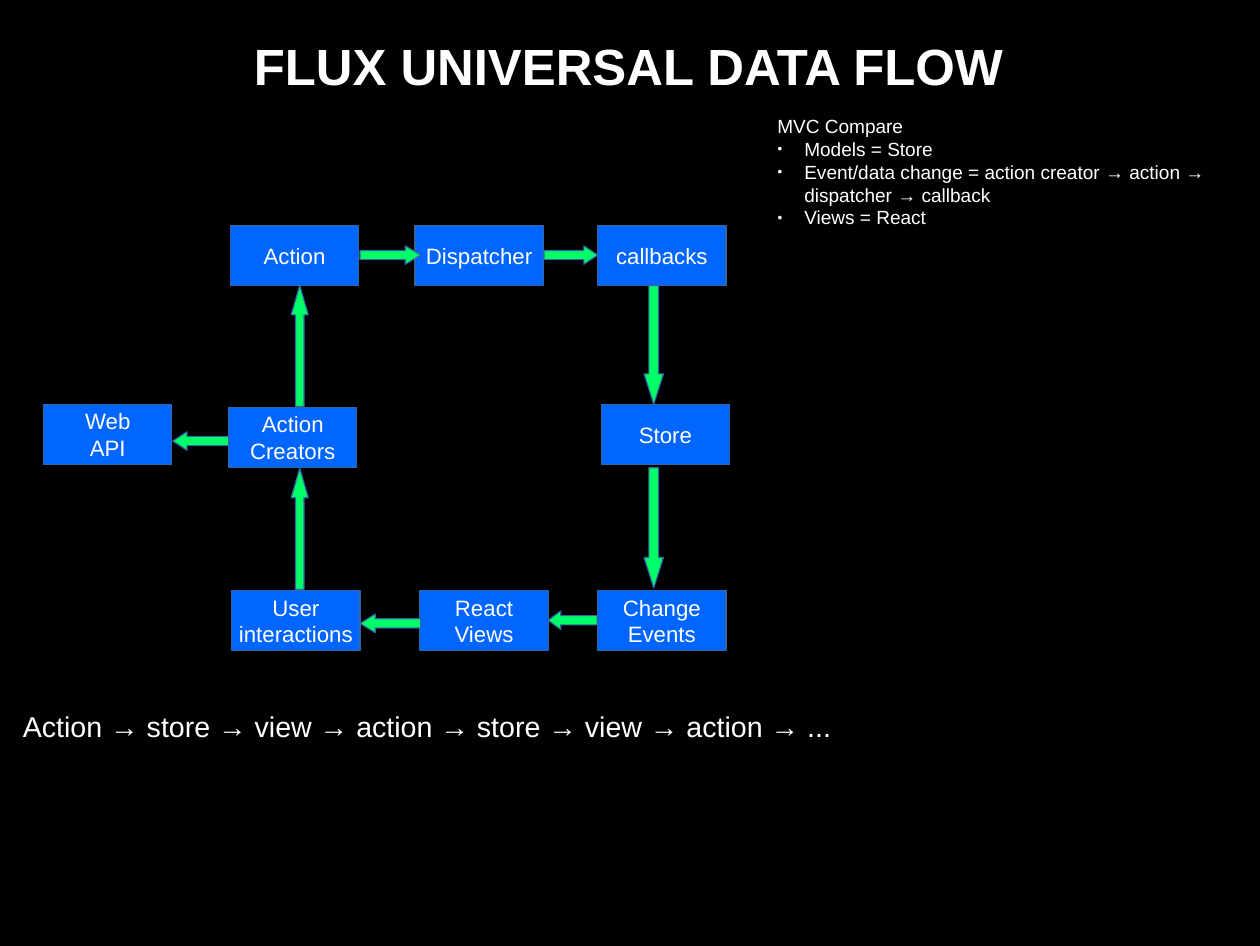
from lxml.etree import SubElement
from pptx import Presentation
from pptx.dml.color import RGBColor
from pptx.enum.shapes import MSO_SHAPE
from pptx.enum.text import MSO_ANCHOR, MSO_AUTO_SIZE, PP_ALIGN
from pptx.oxml.ns import qn
from pptx.util import Cm, Pt

COLORS = {
    "background": "000000",
    "box": "0066FF",
    "arrow": "00FF66",
    "outline": "3465A4",
    "text": "FFFFFF",
}
SLIDE_SIZE = {"slide_width": Pt(793.5), "slide_height": Pt(595.5)}
BOX_WIDTH, BOX_HEIGHT = 2.85, 1.33
TOP_ROW, BOTTOM_ROW = 5.01, 13.12
BULLET_INDENT = Cm(0.6)

BOXES = [  # text, left, top
    ("Action", 5.12, TOP_ROW),
    ("Dispatcher", 9.22, TOP_ROW),
    ("callbacks", 13.28, TOP_ROW),
    ("Store", 13.36, 8.98),
    ("Change\nEvents", 13.28, BOTTOM_ROW),
    ("React\nViews", 9.33, BOTTOM_ROW),
    ("User\ninteractions", 5.15, BOTTOM_ROW),
    ("Action\nCreators", 5.08, 9.05),
    ("Web\nAPI", 0.97, 8.98),
]
ARROWS = [  # direction, left, top, width, height, head length to thickness
    ("LEFT", 8, 13.64, 1.35, 0.41, 0.82),
    ("LEFT", 12.18, 13.57, 1.09, 0.41, 0.68),
    ("UP", 6.47, 10.4, 0.38, 2.69, 1.72),
    ("UP", 6.47, 6.34, 0.38, 2.69, 1.72),
    ("RIGHT", 8, 5.46, 1.35, 0.41, 0.84),
    ("RIGHT", 12.09, 5.46, 1.19, 0.41, 0.75),
    ("DOWN", 14.31, 6.34, 0.43, 2.64, 1.57),
    ("DOWN", 14.31, 10.39, 0.43, 2.67, 1.58),
    ("LEFT", 3.84, 9.59, 1.24, 0.41, 0.77),
]
COMPARISON = [
    "MVC Compare",
    "Models = Store",
    "Event/data change = action creator → action → dispatcher → callback",
    "Views = React",
]
CYCLE = "Action → store → view → action → store → view → action → ..."


def color(name):
    return RGBColor.from_string(COLORS[name])


def set_attributes(target, values):
    for name, value in values.items():
        setattr(target, name, value)


def write_text(shape, paragraphs, size, align=PP_ALIGN.LEFT, bold=False, **frame_format):
    """Fill a shape with paragraphs; a newline inside one is a line break."""
    frame = shape.text_frame
    margins = {f"margin_{side}": 0 for side in ("left", "top", "right", "bottom")}
    set_attributes(frame, {"word_wrap": True, **margins, **frame_format})
    for index, text in enumerate(paragraphs):
        paragraph = frame.add_paragraph() if index else frame.paragraphs[0]
        paragraph.text = text
        paragraph.alignment = align
        for run in paragraph.runs:
            set_attributes(run.font, {"name": "Arial", "size": Pt(size), "bold": bold})
            run.font.color.rgb = color("text")
        for line_break in paragraph._p.findall(qn("a:br")):
            SubElement(line_break, qn("a:rPr"), sz=str(size * 100))
    return frame


def add_filled_shape(slide, kind, fill, left, top, width, height):
    shape = slide.shapes.add_shape(kind, Cm(left), Cm(top), Cm(width), Cm(height))
    shape.shadow.inherit = False
    shape.fill.solid()
    shape.fill.fore_color.rgb = color(fill)
    shape.line.color.rgb = color("outline")
    shape.line.width = 0
    return shape


def add_box(slide, text, left, top):
    box = add_filled_shape(
        slide, MSO_SHAPE.RECTANGLE, "box", left, top, BOX_WIDTH, BOX_HEIGHT
    )
    write_text(box, [text], 14, PP_ALIGN.CENTER, vertical_anchor=MSO_ANCHOR.MIDDLE)


def add_arrow(slide, direction, left, top, width, height, head):
    kind = MSO_SHAPE[f"{direction}_ARROW"]
    arrow = add_filled_shape(slide, kind, "arrow", left, top, width, height)
    arrow.adjustments[0] = 0.5
    arrow.adjustments[1] = head


def add_text(slide, paragraphs, left, top, width, height, size, **text_format):
    box = slide.shapes.add_textbox(Cm(left), Cm(top), Cm(width), Cm(height))
    return write_text(
        box, paragraphs, size, auto_size=MSO_AUTO_SIZE.SHAPE_TO_FIT_TEXT, **text_format
    )


def add_bullet(paragraph):
    properties = paragraph._p.get_or_add_pPr()
    properties.set("marL", str(BULLET_INDENT))
    properties.set("indent", str(-BULLET_INDENT))
    bullet_color = SubElement(properties, qn("a:buClr"))
    SubElement(bullet_color, qn("a:srgbClr"), val=COLORS["text"])
    SubElement(properties, qn("a:buSzPct"), val="45000")
    SubElement(properties, qn("a:buFont"), typeface="Arial")
    SubElement(properties, qn("a:buChar"), char="●")


def main():
    presentation = Presentation()
    set_attributes(presentation, SLIDE_SIZE)
    slide = presentation.slides.add_slide(presentation.slide_layouts[6])
    slide.background.fill.solid()
    slide.background.fill.fore_color.rgb = color("background")

    for box in BOXES:
        add_box(slide, *box)
    for arrow in ARROWS:
        add_arrow(slide, *arrow)

    add_text(slide, ["FLUX UNIVERSAL DATA FLOW"], 2.54, 0.76, 22.86, 1.27, 32,
             align=PP_ALIGN.CENTER, bold=True)
    comparison = add_text(slide, COMPARISON, 17.27, 2.54, 10.72, 2.36, 12)
    for paragraph in comparison.paragraphs[1:]:
        add_bullet(paragraph)
    add_text(slide, [CYCLE], 0.51, 15.75, 18.8, 1.42, 18)

    presentation.save("out.pptx")


if __name__ == "__main__":
    main()
